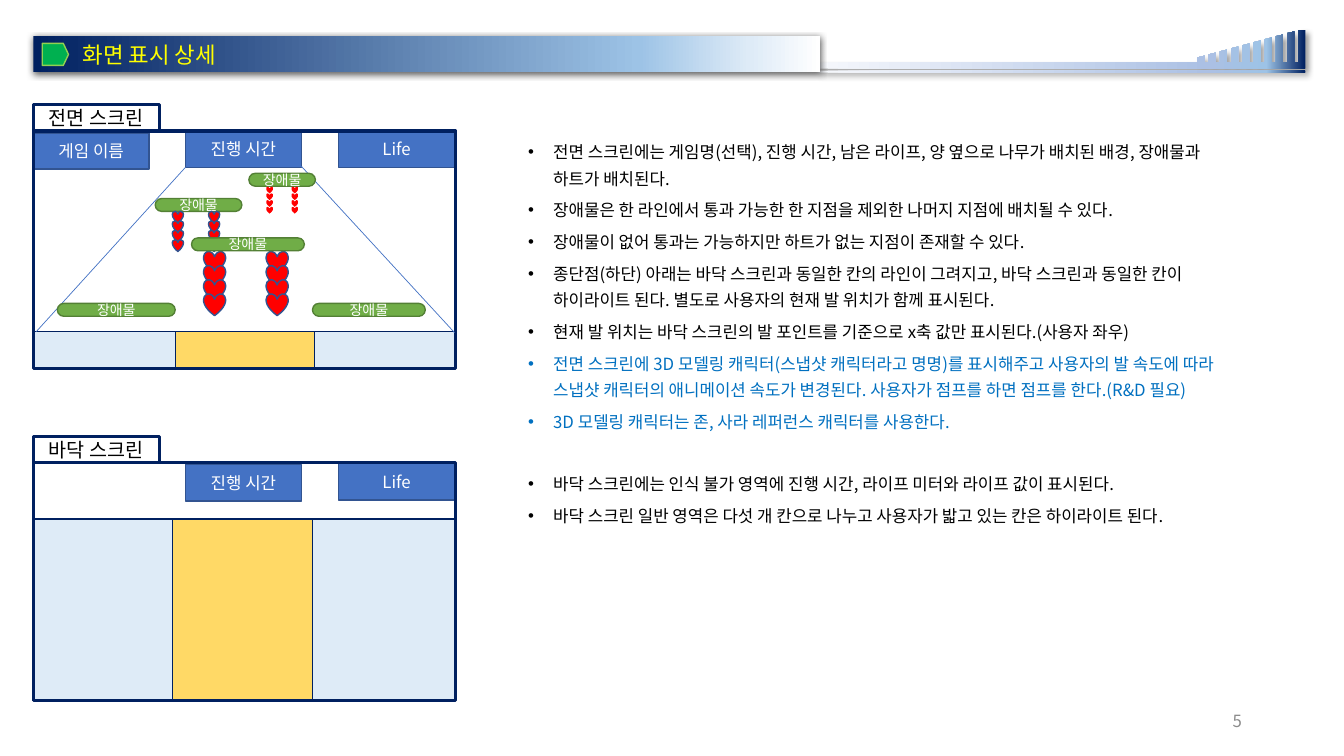
from dataclasses import dataclass
from typing import Any, Optional

from lxml import etree
from pptx import Presentation
from pptx import util as u
from pptx.dml.color import RGBColor
from pptx.enum import shapes, text
from pptx.oxml.ns import qn

NAVY = RGBColor(0x00, 0x20, 0x60)
SKY = RGBColor(0x9D, 0xC3, 0xE6)
PALE = RGBColor(0xDE, 0xEB, 0xF7)
GOLD = RGBColor(0xFF, 0xD9, 0x66)
BLUE = RGBColor(0x44, 0x72, 0xC4)
EDGE = RGBColor(0x32, 0x54, 0x91)
GRASS = RGBColor(0x70, 0xAD, 0x47)
MOSS = RGBColor(0x53, 0x80, 0x35)
GREEN = RGBColor(0x00, 0xB0, 0x50)
LIME = RGBColor(0x92, 0xD0, 0x50)
RED = RGBColor(0xFF, 0x00, 0x00)
YELLOW = RGBColor(0xFF, 0xFF, 0x00)
NOTE = RGBColor(0x00, 0x70, 0xC0)
GREY = RGBColor(0x8C, 0x8C, 0x8C)
MIST = RGBColor(0xF6, 0xF8, 0xFC)
STEEL = RGBColor(0xAB, 0xC0, 0xE4)
BLACK = RGBColor(0, 0, 0)
WHITE = RGBColor(0xFF, 0xFF, 0xFF)
FACE = "Noto Sans CJK KR"
KIND = shapes.MSO_SHAPE
ALIGN = text.PP_ALIGN
MID = text.MSO_ANCHOR.MIDDLE
LEFT, WIDE = 23.76, 301.7


@dataclass
class Box:
    x: float
    y: float
    w: float
    h: float
    fill: Optional[RGBColor] = None
    edge: Optional[RGBColor] = None
    line: float = 1
    label: str = ""
    size: float = 12
    ink: RGBColor = WHITE
    kind: Any = KIND.RECTANGLE


@dataclass
class Stack:
    x: float
    y: float
    w: float
    h: float
    step: float
    edge: Optional[RGBColor] = EDGE


@dataclass
class Screen:
    name: str
    y: float
    cell: float
    tall: float
    x: float
    left: float
    right: float


def put(item: Any, vals: dict) -> None:
    for key, val in vals.items():
        setattr(item, key, val)


def write(para: Any, words: str, size: float, ink: RGBColor) -> None:
    run = para.add_run()
    run.text = words
    put(run.font, {"size": u.Pt(size), "name": FACE})
    run.font.color.rgb = ink
    etree.SubElement(run.font._element, qn("a:ea"), typeface=FACE)


def add_box(slide: Any, box: Box) -> Any:
    shape = slide.shapes.add_shape(box.kind, *map(u.Pt, (box.x, box.y, box.w, box.h)))
    shape.shadow.inherit = False
    if box.fill is None:
        shape.fill.background()
    else:
        shape.fill.solid()
        shape.fill.fore_color.rgb = box.fill
    if box.edge is None:
        shape.line.fill.background()
    else:
        shape.line.color.rgb = box.edge
        shape.line.width = u.Pt(box.line)
    if box.kind == KIND.ROUNDED_RECTANGLE:
        shape.adjustments[0] = 0.5
    if box.label:
        put(shape.text_frame, {"vertical_anchor": MID, "word_wrap": True})
        para = shape.text_frame.paragraphs[0]
        para.alignment = ALIGN.CENTER
        write(para, box.label, box.size, box.ink)
    return shape


def add_grade(shape: Any, stops: list, shade: tuple) -> None:
    shape.fill.gradient()
    shape.fill.gradient_angle = 0
    stop_list = shape.element.spPr.find(qn("a:gradFill")).find(qn("a:gsLst"))
    for old in list(stop_list):
        stop_list.remove(old)
    for place, tone in stops:
        stop = etree.SubElement(stop_list, qn("a:gs"), pos=str(place * 1000))
        etree.SubElement(stop, qn("a:srgbClr"), val=str(tone))
    shape.line.fill.background()
    shape.shadow.inherit = False
    alpha, blur, dist, turn = shade
    cast = etree.SubElement(shape.element.spPr.find(qn("a:effectLst")), qn("a:outerShdw"),
                            blurRad=str(u.Pt(blur)), dist=str(u.Pt(dist)),
                            dir=str(turn * 60000), algn="t", rotWithShape="0")
    tint = etree.SubElement(cast, qn("a:srgbClr"), val=str(BLACK))
    etree.SubElement(tint, qn("a:alpha"), val=str(alpha * 1000))


def add_head(slide: Any) -> None:
    start, end, base = 583.9, 932.4, 44.6
    edge = [(end, 21.6), (end, 49), (start, 49), (start, base)]
    for i in range(10):
        x, top = 855.4 + 8 * i, 41 - 2.16 * i
        edge += [(x, base), (x, top)]
        if i < 9:
            edge += [(x + 5, top - 1.2), (x + 5, base)]
    pen = slide.shapes.build_freeform(u.Pt(start), u.Pt(50.4))
    rule = [(end, 50.4), (end, 51.8), (start, 51.8)]
    pen.add_line_segments([(u.Pt(x), u.Pt(y)) for x, y in rule])
    pen.move_to(*map(u.Pt, edge[0]))
    pen.add_line_segments([(u.Pt(x), u.Pt(y)) for x, y in edge[1:]])
    add_grade(pen.convert_to_shape(),
              [(0, MIST), (80, STEEL), (92, SKY), (100, NAVY)], (40, 4, 3, 45))
    bar = add_box(slide, Box(LEFT, 25.9, 562.3, 25.9, label="화면 표시 상세", size=16, ink=YELLOW))
    add_grade(bar, [(0, NAVY), (77, SKY), (91, PALE), (100, WHITE)], (63, 4.5, 1.5, 90))
    para = bar.text_frame.paragraphs[0]
    para.alignment = ALIGN.LEFT
    para._p.get_or_add_pPr().set("marL", str(u.Pt(28.1)))
    mark = add_box(slide, Box(31.7, 29.5, 15.8, 18.7, GREEN, LIME,
                              kind=KIND.FLOWCHART_OFFPAGE_CONNECTOR))
    mark.rotation = 270


def add_list(slide: Any, y: float, h: float, rows: list) -> None:
    frame = slide.shapes.add_textbox(*map(u.Pt, (370.1, y, 514.1, h))).text_frame
    put(frame, {"word_wrap": True, "auto_size": text.MSO_AUTO_SIZE.SHAPE_TO_FIT_TEXT})
    for i, (words, ink) in enumerate(rows):
        para = frame.add_paragraph() if i else frame.paragraphs[0]
        put(para, {"line_spacing": 1.3, "space_after": u.Pt(4)})
        props = para._p.get_or_add_pPr()
        props.set("marL", str(u.Pt(18)))
        props.set("indent", str(u.Pt(-18)))
        etree.SubElement(props, qn("a:buFont"), typeface="Arial")
        etree.SubElement(props, qn("a:buChar"), char="•")
        write(para, words, 12, ink)


def add_stack(slide: Any, stack: Stack) -> None:
    for i in range(4):
        add_box(slide, Box(stack.x, stack.y + i * stack.step, stack.w, stack.h,
                           RED, stack.edge, kind=KIND.HEART))


def add_block(slide: Any, x: float, y: float, w: float) -> None:
    add_box(slide, Box(x, y, w, 9.2, GRASS, MOSS, label="장애물", size=10,
                       kind=KIND.ROUNDED_RECTANGLE))


def add_line(slide: Any, ends: tuple) -> None:
    line = slide.shapes.add_connector(shapes.MSO_CONNECTOR.STRAIGHT, *map(u.Pt, ends))
    line.line.color.rgb = BLUE
    line.line.width = u.Pt(0.5)
    etree.SubElement(line.element.spPr, qn("a:effectLst"))


FRONT = [
    ("전면 스크린에는 게임명(선택), 진행 시간, 남은 라이프, 양 옆으로 나무가 배치된 배경, 장애물과 하트가 배치된다.", BLACK),
    ("장애물은 한 라인에서 통과 가능한 한 지점을 제외한 나머지 지점에 배치될 수 있다.", BLACK),
    ("장애물이 없어 통과는 가능하지만 하트가 없는 지점이 존재할 수 있다.", BLACK),
    ("종단점(하단) 아래는 바닥 스크린과 동일한 칸의 라인이 그려지고, 바닥 스크린과 동일한 칸이 하이라이트 된다. 별도로 사용자의 현재 발 위치가 함께 표시된다.", BLACK),
    ("현재 발 위치는 바닥 스크린의 발 포인트를 기준으로 x축 값만 표시된다.(사용자 좌우)", BLACK),
    ("전면 스크린에 3D 모델링 캐릭터(스냅샷 캐릭터라고 명명)를 표시해주고 사용자의 발 속도에 따라 스냅샷 캐릭터의 애니메이션 속도가 변경된다. 사용자가 점프를 하면 점프를 한다.(R&D 필요)", NOTE),
    ("3D 모델링 캐릭터는 존, 사라 레퍼런스 캐릭터를 사용한다.", NOTE),
]
FLOOR = [
    ("바닥 스크린에는 인식 불가 영역에 진행 시간, 라이프 미터와 라이프 값이 표시된다.", BLACK),
    ("바닥 스크린 일반 영역은 다섯 개 칸으로 나누고 사용자가 밟고 있는 칸은 하이라이트 된다.", BLACK),
]
SCREENS = [Screen("전면 스크린", 93.6, 236.9, 26.6, LEFT, 101.5, 100.8),
           Screen("바닥 스크린", 330.7, 370.8, 129.6, 23.04, 100.1, 102.2)]
SIGNS = [("Life", 241.9, 93.6), ("진행 시간", 132.5, 93.6), ("게임 이름", LEFT, 95),
         ("Life", 241.9, 331.2), ("진행 시간", 132.5, 331.9)]


def main() -> None:
    deck = Presentation()
    put(deck, {"slide_width": u.Pt(960), "slide_height": u.Pt(540)})
    slide = deck.slides.add_slide(deck.slide_layouts[6])
    add_head(slide)
    page = slide.shapes.add_textbox(*map(u.Pt, (678.2, 500.4, 216, 28.8))).text_frame
    put(page, {"word_wrap": True, "vertical_anchor": MID})
    page.paragraphs[0].alignment = ALIGN.RIGHT
    write(page.paragraphs[0], "5", 12, GREY)
    add_list(slide, 93.6, 260.6, FRONT)
    add_list(slide, 330.5, 66.2, FLOOR)
    for scr in SCREENS:
        last = LEFT + WIDE - scr.right
        for x, w, fill in ((scr.x, WIDE, GOLD), (scr.x, scr.left, PALE), (last, scr.right, PALE)):
            add_box(slide, Box(x, scr.cell, w, scr.tall, fill, NAVY))
    for label, x, y in SIGNS:
        add_box(slide, Box(x, y, 82.8, 25.9, BLUE, EDGE, label=label))
    for scr in SCREENS:
        add_box(slide, Box(LEFT, scr.y - 18.7, 90, 18.2, None, NAVY, 2.25, scr.name, 14, BLACK))
        add_box(slide, Box(LEFT, scr.y, WIDE, 169.9, None, NAVY, 2.25))
    for x in (145.4, 190.1):
        add_stack(slide, Stack(x, 179.4, 15.8, 15.8, 10.1))
    for ends in ((132.5, 119.5, 25.9, 236.9), (215.3, 118.8, 324.7, 237.6)):
        add_line(slide, ends)
    for x, y, w in ((41, 216.7, 84.2), (177.8, 123.8, 47.5), (223.2, 216.7, 80.6), (110.9, 141.8, 61.9)):
        add_block(slide, x, y, w)
    for x in (123.1, 149):
        add_stack(slide, Stack(x, 150.8, 7.9, 8.6, 6.75))
    add_block(slide, 136.8, 169.9, 80.6)
    for x in (190.1, 208.1):
        add_stack(slide, Stack(x, 133.2, 5, 5, 4.8, None))
    deck.save("out.pptx")


if __name__ == "__main__":
    main()
